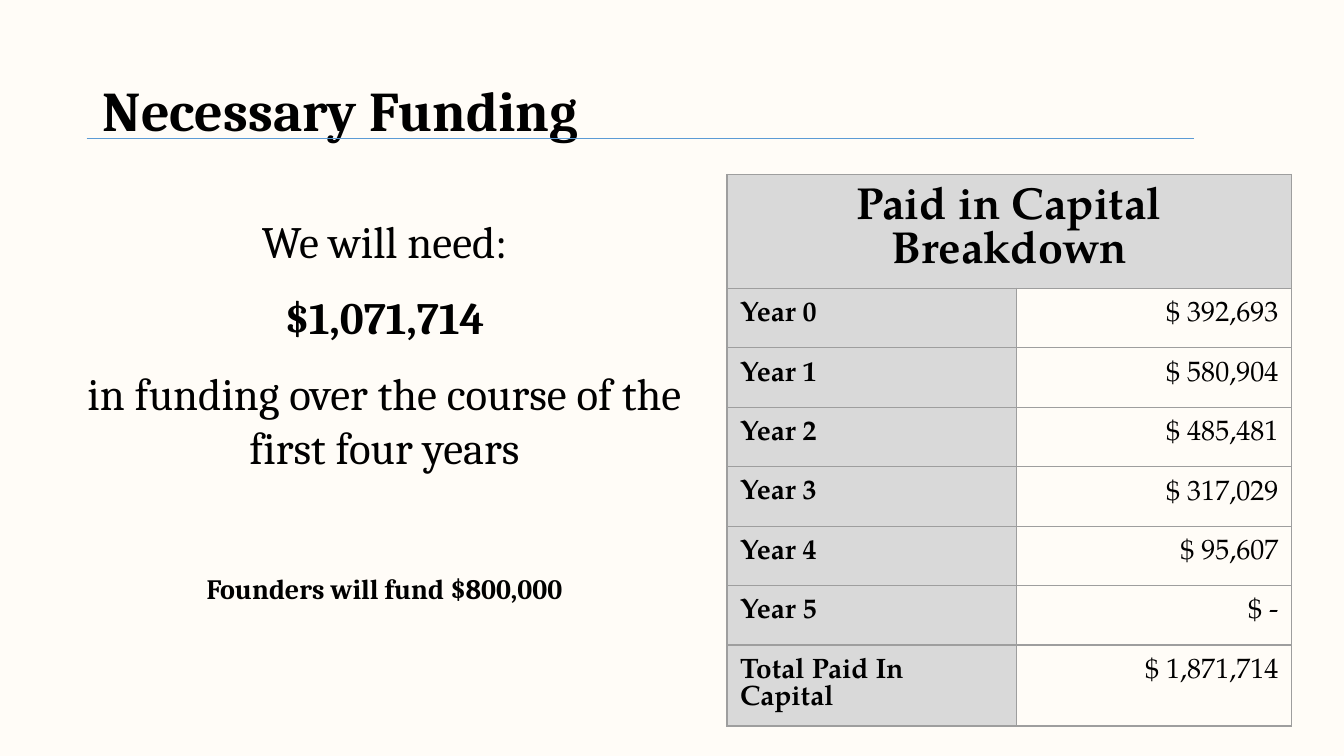
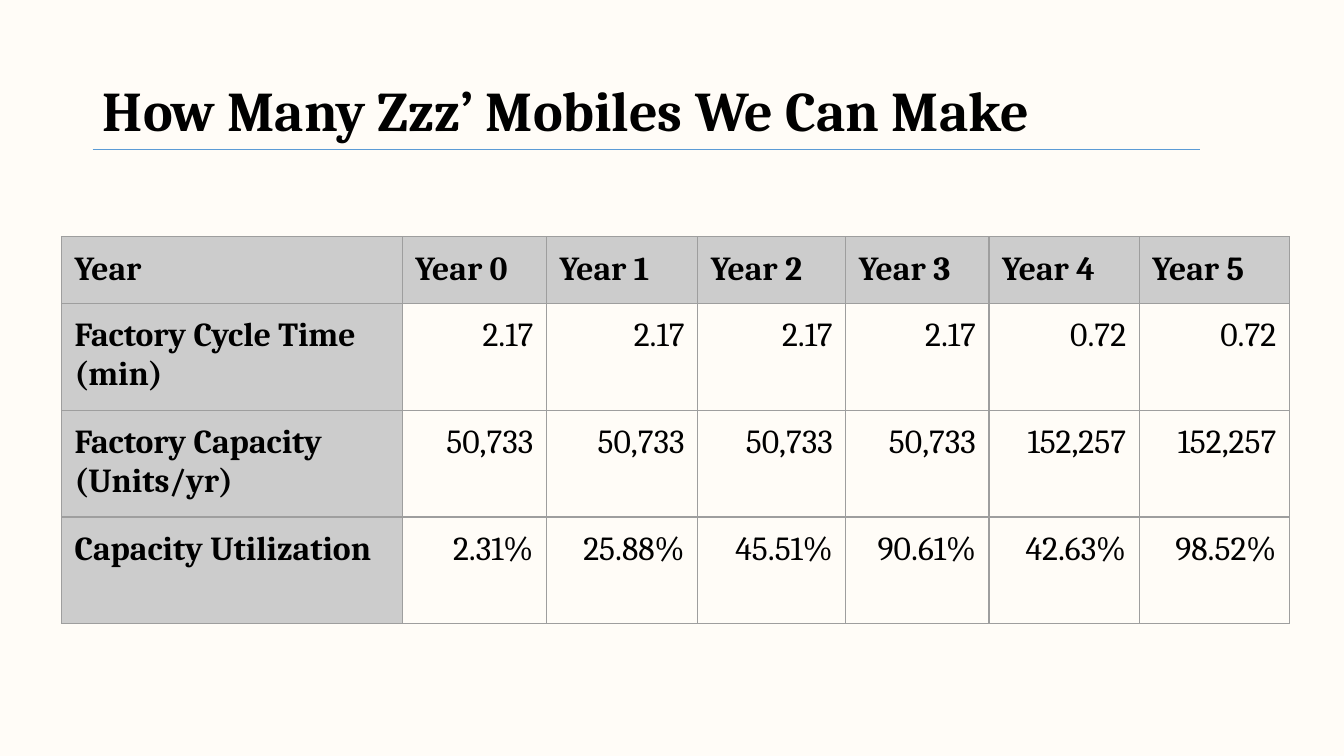
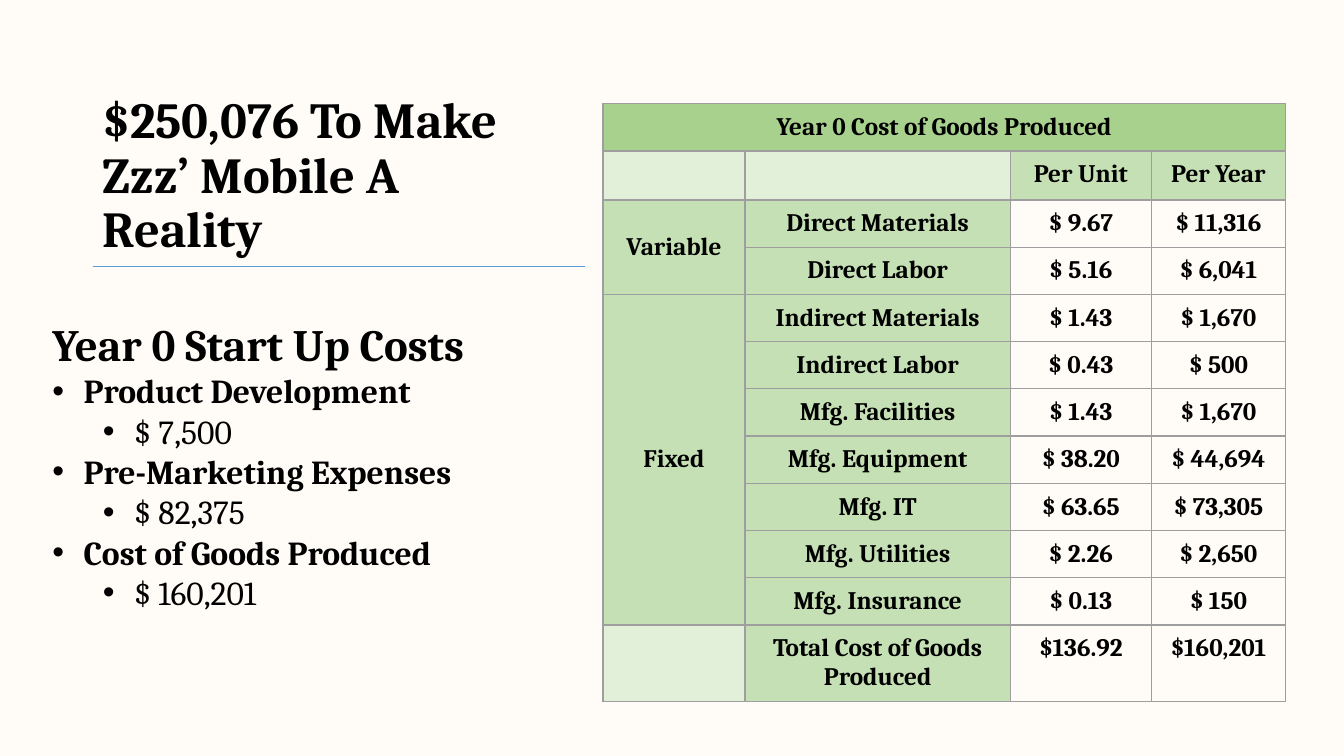
from dataclasses import dataclass

from lxml import etree
from pptx import Presentation
from pptx.dml.color import RGBColor
from pptx.enum.shapes import MSO_CONNECTOR
from pptx.enum.text import MSO_ANCHOR, MSO_AUTO_SIZE, PP_ALIGN
from pptx.oxml.ns import qn
from pptx.util import Inches, Pt

LEFT, CENTER, RIGHT = PP_ALIGN.LEFT, PP_ALIGN.CENTER, PP_ALIGN.RIGHT
TOP, MIDDLE = MSO_ANCHOR.TOP, MSO_ANCHOR.MIDDLE
NO_FIT = MSO_AUTO_SIZE.NONE
STRAIGHT = MSO_CONNECTOR.STRAIGHT
TITLE_AND_BODY, TITLE_ONLY = 1, 5


@dataclass(frozen=True)
class Theme:
    paper: str = "FFFCF7"
    ink: str = "000000"
    rule: str = "5B9BD5"
    grid: str = "9E9E9E"
    capital_label: str = "D9D9D9"
    capacity_label: str = "CCCCCC"
    cost_title: str = "A9D18E"
    cost_label: str = "C5E0B4"
    cost_blank: str = "E2F0D9"
    serif: str = "Cambria"
    capital_serif: str = "TeX Gyre Pagella"
    title: int = 40
    narrow_title: int = 36
    lead: int = 32
    item: int = 24
    note: int = 20
    cost: int = 18


THEME = Theme()


def apply(target, **formats):
    for name, value in formats.items():
        setattr(target, name, value)


def inches(box):
    return [Inches(length) for length in box]


def write(paragraph, text, size, bold=False, family=THEME.serif):
    font = paragraph.add_run().font
    paragraph.runs[-1].text = text
    apply(font, name=family, size=Pt(size), bold=bold)
    font.color.rgb = RGBColor.from_string(THEME.ink)


def place(shape, box):
    left, top, width, height = inches(box)
    apply(shape, left=left, top=top, width=width, height=height)


def paragraphs_of(frame, count):
    return [frame.paragraphs[0]] + [frame.add_paragraph() for _ in range(count - 1)]


def add_heading(slide, text, box, rule, size=THEME.title):
    title = slide.shapes.title
    place(title, box)
    apply(title.text_frame, word_wrap=True, auto_size=NO_FIT, vertical_anchor=MIDDLE)
    paragraph = title.text_frame.paragraphs[0]
    apply(paragraph, alignment=LEFT, line_spacing=0.9)
    write(paragraph, text, size, True)

    left, top, length = inches(rule)
    underline = slide.shapes.add_connector(STRAIGHT, left, top, left + length, top)
    underline.line.width = Pt(0.5)
    underline.line.color.rgb = RGBColor.from_string(THEME.rule)
    etree.SubElement(underline._element.spPr, qn("a:effectLst"))


def add_borders(cell):
    properties = cell._tc.get_or_add_tcPr()
    for side in ("lnL", "lnR", "lnT", "lnB"):
        edge = etree.SubElement(properties, qn(f"a:{side}"), w=str(Pt(1)))
        fill = etree.SubElement(edge, qn("a:solidFill"))
        etree.SubElement(fill, qn("a:srgbClr"), val=THEME.grid)


def add_grid(slide, box, widths, heights, rows, look, margin, merges=(), family=THEME.serif):
    table = slide.shapes.add_table(len(rows), len(widths), *inches(box)).table
    apply(table, first_row=False, horz_banding=False)
    for column, width in zip(table.columns, widths):
        column.width = Inches(width)
    for row, height in zip(table.rows, heights):
        row.height = Inches(height)
    inset = Inches(margin)
    for r, texts in enumerate(rows):
        for c, text in enumerate(texts):
            cell = table.cell(r, c)
            fill, size, bold, alignment = look(r, c)
            apply(cell, margin_left=inset, margin_right=inset, margin_top=inset,
                  margin_bottom=inset, vertical_anchor=TOP)
            add_borders(cell)
            if fill:
                cell.fill.solid()
                cell.fill.fore_color.rgb = RGBColor.from_string(fill)
            else:
                cell.fill.background()
            if text:
                paragraph = cell.text_frame.paragraphs[0]
                paragraph.alignment = alignment
                write(paragraph, text, size, bold, family)
    for first, last in merges:
        table.cell(*first).merge(table.cell(*last))
        if last[0] > first[0]:
            table.cell(*first).vertical_anchor = MIDDLE


def add_funding_need(slide, box):
    frame = slide.shapes.add_textbox(*inches(box)).text_frame
    frame.word_wrap = True
    statements = [
        ("We will need:", THEME.lead, False, 16),
        ("$1,071,714", THEME.lead, True, 16),
        ("in funding over the course of the first four years", THEME.lead, False, 70),
        ("Founders will fund $800,000", THEME.note, True, 0),
    ]
    for paragraph, (text, size, bold, after) in zip(paragraphs_of(frame, len(statements)), statements):
        apply(paragraph, alignment=CENTER, space_after=Pt(after))
        write(paragraph, text, size, bold)


def add_capital_table(slide, box):
    rows = [
        ("Paid in Capital Breakdown", ""),
        ("Year 0", "$ 392,693"),
        ("Year 1", "$ 580,904"),
        ("Year 2", "$ 485,481"),
        ("Year 3", "$ 317,029"),
        ("Year 4", "$ 95,607"),
        ("Year 5", "$ -"),
        ("Total Paid In Capital", "$ 1,871,714"),
    ]

    def look(r, c):
        if r == 0:
            return THEME.capital_label, THEME.lead, True, CENTER
        if c == 0:
            return THEME.capital_label, THEME.note, True, LEFT
        return None, THEME.note, False, RIGHT

    add_grid(slide, box, [2.87, 2.73], [0.59] * len(rows), rows, look, 0.13,
             [((0, 0), (0, 1))], THEME.capital_serif)


def add_capacity_table(slide, box):
    rows = [
        ["Year"] + [f"Year {year}" for year in range(6)],
        ["Factory Cycle Time (min)"] + ["2.17"] * 4 + ["0.72"] * 2,
        ["Factory Capacity (Units/yr)"] + ["50,733"] * 4 + ["152,257"] * 2,
        ["Capacity Utilization", "2.31%", "25.88%", "45.51%", "90.61%", "42.63%", "98.52%"],
    ]

    def look(r, c):
        if r == 0 or c == 0:
            return THEME.capacity_label, THEME.item, True, LEFT
        return None, THEME.item, False, RIGHT

    add_grid(slide, box, [3.38, 1.43, 1.5, 1.47, 1.42, 1.49, 1.49],
             [0.66] + [1.06] * 3, rows, look, 0.13)


def add_cost_table(slide, box):
    rows = [
        ("Year 0 Cost of Goods Produced", "", "", ""),
        ("", "", "Per Unit", "Per Year"),
        ("Variable", "Direct Materials", "$ 9.67", "$ 11,316"),
        ("", "Direct Labor", "$ 5.16", "$ 6,041"),
        ("Fixed", "Indirect Materials", "$ 1.43", "$ 1,670"),
        ("", "Indirect Labor", "$ 0.43", "$ 500"),
        ("", "Mfg. Facilities", "$ 1.43", "$ 1,670"),
        ("", "Mfg. Equipment", "$ 38.20", "$ 44,694"),
        ("", "Mfg. IT", "$ 63.65", "$ 73,305"),
        ("", "Mfg. Utilities", "$ 2.26", "$ 2,650"),
        ("", "Mfg. Insurance", "$ 0.13", "$ 150"),
        ("", "Total Cost of Goods Produced", "$136.92", "$160,201"),
    ]
    total = len(rows) - 1

    def look(r, c):
        if r == 0:
            fill = THEME.cost_title
        elif (r == 1 and c < 2) or (r == total and c == 0):
            fill = THEME.cost_blank
        elif r == 1 or c < 2:
            fill = THEME.cost_label
        else:
            fill = None
        return fill, THEME.cost, True, CENTER

    merges = [((0, 0), (0, 3)), ((2, 0), (3, 0)), ((4, 0), (total - 1, 0))]
    add_grid(slide, box, [1.41, 2.63, 1.4, 1.33], [0.43] * total + [0.7],
             rows, look, 0.09, merges)


def set_bullet(paragraph, indent, bullet):
    properties = paragraph._p.get_or_add_pPr()
    hanging = Inches(0.31) if bullet else 0
    properties.set("marL", str(Inches(indent)))
    properties.set("indent", str(-hanging))
    if bullet:
        etree.SubElement(properties, qn("a:buChar"), char=bullet)
    else:
        etree.SubElement(properties, qn("a:buNone"))


def add_startup_costs(slide, box):
    body = slide.placeholders[1]
    place(body, box)
    frame = body.text_frame
    apply(frame, word_wrap=True, auto_size=NO_FIT, vertical_anchor=TOP)
    costs = [
        ("Product Development", "$ 7,500"),
        ("Pre-Marketing Expenses", "$ 82,375"),
        ("Cost of Goods Produced", "$ 160,201"),
    ]
    entries = [("Year 0 Start Up Costs", THEME.lead, True, 0, 0, None)]
    for expense, amount in costs:
        entries.append((expense, THEME.item, True, 0, 0.31, "•"))
        entries.append((amount, THEME.item, False, 1, 0.81, "•"))
    for paragraph, entry in zip(paragraphs_of(frame, len(entries)), entries):
        text, size, bold, level, indent, bullet = entry
        apply(paragraph, level=level, alignment=LEFT, space_before=Pt(0))
        set_bullet(paragraph, indent, bullet)
        write(paragraph, text, size, bold)


def build_funding(slide):
    add_heading(slide, "Necessary Funding", (0.92, 0.4, 11.5, 1.45), (0.86, 1.37, 10.98))
    add_capital_table(slide, (7.21, 1.73, 5.6, 4.72))
    add_funding_need(slide, (0.48, 2.07, 6.67, 4.2))


def build_capacity(slide):
    add_heading(slide, "How Many Zzz’ Mobiles We Can Make",
                (0.92, 0.4, 11.5, 1.45), (0.92, 1.48, 10.98))
    add_capacity_table(slide, (0.61, 2.35, 12.18, 3.84))


def build_costs(slide):
    add_heading(slide, "$250,076 To Make Zzz’ Mobile A Reality",
                (0.92, 1.03, 4.81, 1.45), (0.92, 2.64, 4.88), THEME.narrow_title)
    add_cost_table(slide, (5.98, 1.03, 6.77, 5.43))
    add_startup_costs(slide, (0.42, 3.09, 5.21, 3.06))


def main():
    deck = Presentation()
    apply(deck, slide_width=Inches(13.33), slide_height=Inches(7.5))
    paper = deck.slide_master.background.fill
    paper.solid()
    paper.fore_color.rgb = RGBColor.from_string(THEME.paper)
    pages = [(build_funding, TITLE_ONLY), (build_capacity, TITLE_ONLY), (build_costs, TITLE_AND_BODY)]
    for build, layout in pages:
        build(deck.slides.add_slide(deck.slide_layouts[layout]))
    deck.save("out.pptx")


if __name__ == "__main__":
    main()
